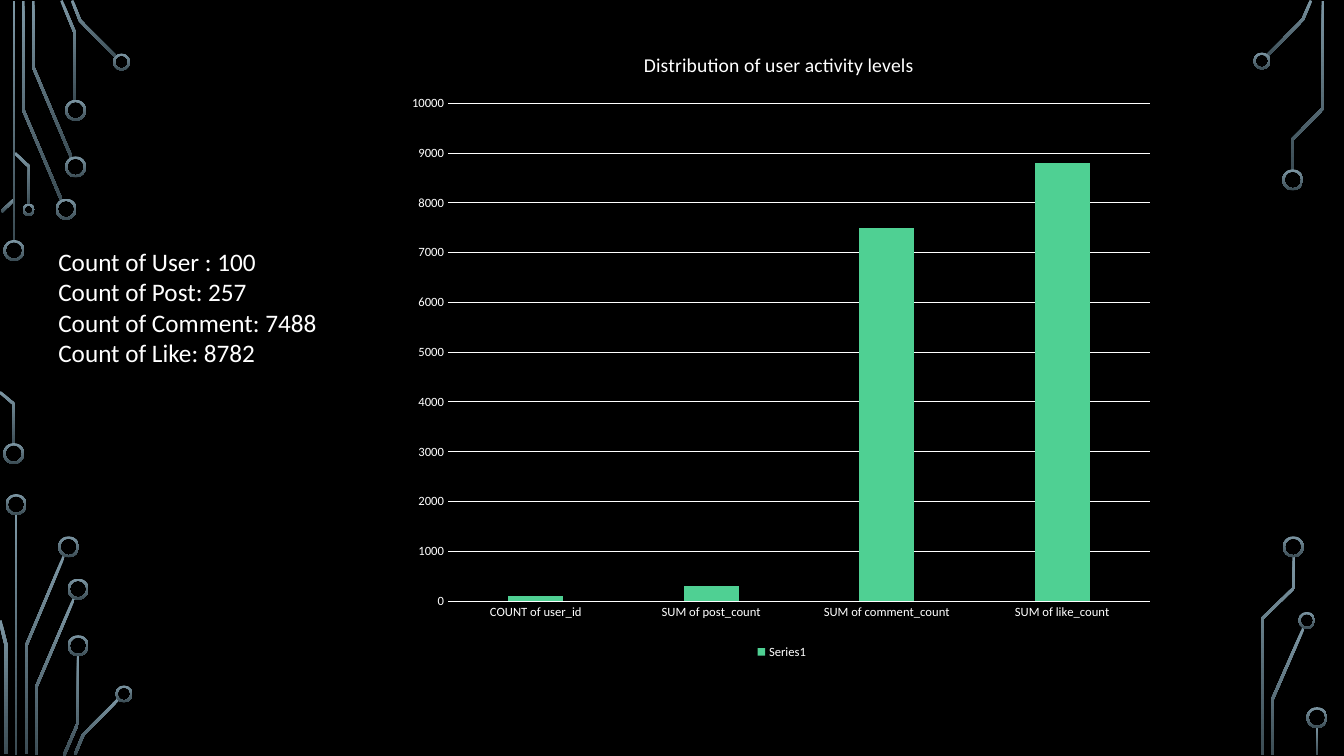
from dataclasses import dataclass
from math import hypot

from lxml import etree
from pptx import Presentation
from pptx.chart.data import CategoryChartData
from pptx.dml.color import RGBColor
from pptx.enum.chart import XL_CHART_TYPE, XL_LEGEND_POSITION, XL_TICK_MARK
from pptx.enum.shapes import MSO_SHAPE
from pptx.oxml.ns import qn
from pptx.util import Pt

COLUMNS = XL_CHART_TYPE.COLUMN_CLUSTERED
BOTTOM = XL_LEGEND_POSITION.BOTTOM
NO_TICK = XL_TICK_MARK.NONE
DONUT = MSO_SHAPE.DONUT
RECTANGLE = MSO_SHAPE.RECTANGLE


@dataclass(frozen=True)
class Theme:
    background: RGBColor = RGBColor(0x00, 0x00, 0x00)
    text: RGBColor = RGBColor(0xFF, 0xFF, 0xFF)
    bar: RGBColor = RGBColor(0x4F, 0xD0, 0x93)
    circuit_top: RGBColor = RGBColor(0x7C, 0x96, 0xA3)
    circuit_bottom: RGBColor = RGBColor(0x3B, 0x4C, 0x54)
    font: str = "Calibri"
    body: float = 18
    title: float = 14
    label: float = 9


@dataclass(frozen=True)
class Trace:
    points: tuple[tuple[float, float], ...]
    width: float = 1.9


@dataclass(frozen=True)
class Wire:
    x: float
    y: float
    height: float
    width: float = 1.6


@dataclass(frozen=True)
class Ring:
    x: float
    y: float
    size: float = 15
    band: float = 1.5


THEME = Theme()
SMALL, TINY = 12.2, 8.8
CHART_WIDTH, CHART_HEIGHT = 549.4, 452.9

TRACES = (
    Trace(((43.9, 142.9), (16.6, 78.5), (16.6, 0.7))),
    Trace(((51.1, 112.7), (23.7, 47.9), (23.7, 0.7))),
    Trace(((53.6, 72), (53.6, 23.8), (43.9, 0.4))),
    Trace(((83.2, 41), (57.2, 14.8), (51.5, 0.4))),
    Trace(((1.1, 151.2), (10.1, 142.6))),
    Trace(((10.1, 317.5), (10.1, 288.7), (0, 280.1))),
    Trace(((20.9, 146.2), (20.9, 119.2), (10.8, 109.4))),
    Trace(((18.6, 538.6), (18.6, 461.5), (45.7, 397.1))),
    Trace(((4.5, 538.6), (4.5, 461.5), (0, 443.2)), 2.3),
    Trace(((25.6, 539.3), (25.6, 491.4), (52.9, 427.3))),
    Trace(((45.7, 539.6), (55.8, 516.2), (55.8, 468))),
    Trace(((53.6, 538.9), (59.4, 524.9), (85, 499))),
    Trace(((905, 40), (930.6, 14), (936.4, 0.4))),
    Trace(((909, 539.3), (909, 499.3), (931, 448.9))),
    Trace(((923, 121.7), (923, 99.7), (945, 77.4), (945, 0.7))),
    Trace(((901.8, 539.3), (901.8, 441.7), (924.1, 420.1), (924.1, 397.4))),
)
WIRES = (
    Wire(9.1, 0.7, 172),
    Wire(10.8, 367.2, 172),
    Wire(940, 519.1, 20.2),
)
RINGS = (
    Ring(10, 178.9), Ring(9.8, 324), Ring(47.2, 149.4), Ring(54, 119.2),
    Ring(54, 78.8), Ring(86.8, 44.3, SMALL), Ring(20.5, 149.8, TINY),
    Ring(11.5, 360.4), Ring(49, 390.6), Ring(55.8, 420.8), Ring(55.8, 461.2),
    Ring(88.6, 495.7, SMALL), Ring(901.4, 43.6, SMALL), Ring(923.4, 128.5),
    Ring(933.5, 443.2, SMALL), Ring(923.8, 390.6), Ring(940.7, 512.6),
)
COUNTS = (
    "Count of User : 100",
    "Count of Post: 257",
    "Count of Comment: 7488",
    "Count of Like: 8782",
)
ACTIVITY = {
    "COUNT of user_id": 100,
    "SUM of post_count": 300,
    "SUM of comment_count": 7500,
    "SUM of like_count": 8800,
}


def apply(target, values: dict) -> None:
    for name, value in values.items():
        setattr(target, name, value)


def set_font(font, size: float) -> None:
    apply(font, {"name": THEME.font, "size": Pt(size), "bold": False})
    font.color.rgb = THEME.text


def paint_circuit(sp) -> None:
    sp.shadow.inherit = False
    sp.line.fill.background()
    sp.fill.gradient()
    sp.fill.gradient_angle = 270
    colors = (THEME.circuit_top, THEME.circuit_bottom)
    for stop, color, position in zip(sp.fill.gradient_stops, colors, (0, 1)):
        stop.color.rgb = color
        stop.position = position


def ribbon(trace: Trace) -> list[tuple[int, int]]:
    pts = trace.points
    normals = []
    for (x1, y1), (x2, y2) in zip(pts, pts[1:]):
        length = hypot(x2 - x1, y2 - y1)
        normals.append(((y1 - y2) / length, (x2 - x1) / length))
    before, after = normals[:1] + normals, normals + normals[-1:]
    left, right = [], []
    for (x, y), (ax, ay), (bx, by) in zip(pts, before, after):
        reach = trace.width / 2 / (1 + ax * bx + ay * by)
        dx, dy = (ax + bx) * reach, (ay + by) * reach
        left.append((Pt(x + dx), Pt(y + dy)))
        right.append((Pt(x - dx), Pt(y - dy)))
    return left + right[::-1]


def draw_trace(s, trace: Trace) -> None:
    start, *rest = ribbon(trace)
    builder = s.shapes.build_freeform(*start)
    builder.add_line_segments(rest, close=True)
    paint_circuit(builder.convert_to_shape())


def draw_wire(s, wire: Wire) -> None:
    box = (wire.x, wire.y, wire.width, wire.height)
    paint_circuit(s.shapes.add_shape(RECTANGLE, *map(Pt, box)))


def draw_ring(s, ring: Ring) -> None:
    half = ring.size / 2
    box = (ring.x - half, ring.y - half, ring.size, ring.size)
    sp = s.shapes.add_shape(DONUT, *map(Pt, box))
    sp.adjustments[0] = ring.band / ring.size
    paint_circuit(sp)


def place(parent, index: int, modes: dict, box: dict) -> None:
    for old in parent.findall(qn("c:layout")):
        parent.remove(old)
    layout = etree.Element(qn("c:layout"))
    manual = etree.SubElement(layout, qn("c:manualLayout"))
    full = {"x": CHART_WIDTH, "y": CHART_HEIGHT,
            "w": CHART_WIDTH, "h": CHART_HEIGHT}
    shares = {side: round(box[side] / full[side], 4) for side in box}
    for name, value in {**modes, **shares}.items():
        etree.SubElement(manual, qn(f"c:{name}")).set("val", str(value))
    parent.insert(index, layout)


def draw_chart(s) -> None:
    data = CategoryChartData()
    data.categories = list(ACTIVITY)
    data.add_series("Series1", list(ACTIVITY.values()))
    box = map(Pt, (283.7, 20.9, CHART_WIDTH, CHART_HEIGHT))
    chart = s.shapes.add_chart(COLUMNS, *box, data).chart
    set_font(chart.font, THEME.label)
    apply(chart, {"has_title": True, "has_legend": True})

    tf = chart.chart_title.text_frame
    tf.text = "Distribution of user activity levels"
    set_font(tf.paragraphs[0].runs[0].font, THEME.title)
    apply(chart.legend, {"position": BOTTOM, "include_in_layout": False})
    set_font(chart.legend.font, THEME.label)

    plot = chart.plots[0]
    apply(plot, {"gap_width": 219, "vary_by_categories": False})
    fill = plot.series[0].format.fill
    fill.solid()
    fill.fore_color.rgb = THEME.bar

    value_axis, category_axis = chart.value_axis, chart.category_axis
    apply(value_axis, {"minimum_scale": 0, "maximum_scale": 10000,
                       "major_unit": 1000, "has_major_gridlines": True})
    for axis in (value_axis, category_axis):
        apply(axis, {"major_tick_mark": NO_TICK, "minor_tick_mark": NO_TICK})
        set_font(axis.tick_labels.font, THEME.label)
    for line in (value_axis.major_gridlines.format.line,
                 category_axis.format.line):
        line.color.rgb = THEME.text
        line.width = Pt(0.75)
    value_axis.format.line.fill.background()

    edges = {"xMode": "edge", "yMode": "edge"}
    title, = chart._chartSpace.xpath("c:chart/c:title")
    place(title, 1, edges, {"x": 173.7, "y": 13.1})
    area, = chart._chartSpace.xpath("c:chart/c:plotArea")
    place(area, 0, {"layoutTarget": "inner", **edges},
          {"x": 36.3, "y": 52.9, "w": 501.4, "h": 355.7})


def draw_counts(s) -> None:
    tf = s.shapes.add_textbox(*map(Pt, (34.6, 172.5, 257, 94.3))).text_frame
    tf.word_wrap = True
    tf.text = "\n".join(COUNTS)
    for p in tf.paragraphs:
        set_font(p.runs[0].font, THEME.body)


def main() -> None:
    prs = Presentation()
    apply(prs, {"slide_width": Pt(960), "slide_height": Pt(540)})
    s = prs.slides.add_slide(prs.slide_layouts[6])
    s.background.fill.solid()
    s.background.fill.fore_color.rgb = THEME.background
    for draw, parts in ((draw_trace, TRACES), (draw_wire, WIRES),
                        (draw_ring, RINGS)):
        for part in parts:
            draw(s, part)
    draw_chart(s)
    draw_counts(s)
    prs.save("out.pptx")


if __name__ == "__main__":
    main()
